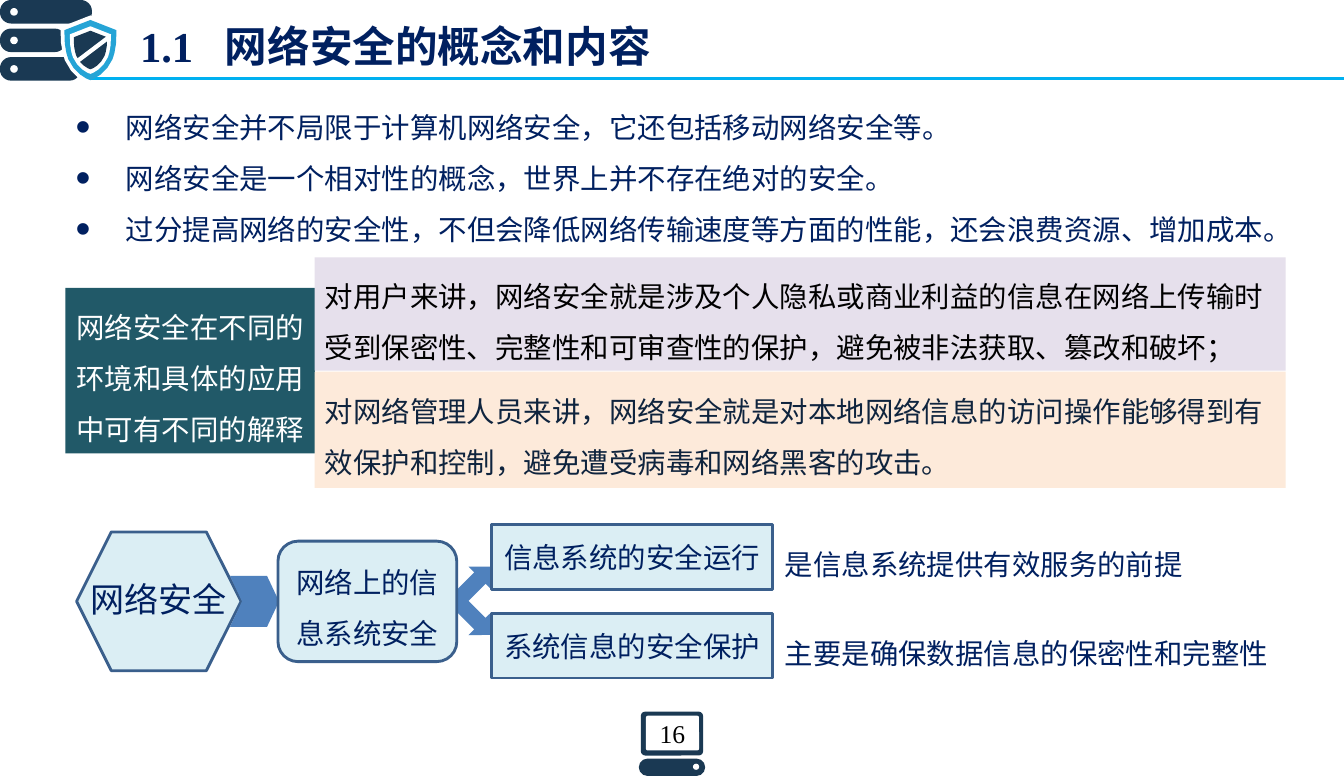
from dataclasses import dataclass

from lxml.etree import SubElement
from pptx import Presentation
from pptx.dml.color import RGBColor
from pptx.enum.shapes import MSO_CONNECTOR, MSO_SHAPE
from pptx.enum.text import MSO_ANCHOR, MSO_AUTO_SIZE, PP_ALIGN
from pptx.oxml.ns import qn
from pptx.util import Inches, Pt


@dataclass(frozen=True)
class Theme:
    font: str = "Times New Roman"
    navy: str = "002060"
    ink: str = "0F243E"
    black: str = "000000"
    white: str = "FFFFFF"
    icon: str = "1A3953"
    shield: str = "25A4D6"
    rule: str = "00B0F0"
    arrow: str = "4F81BD"
    pale: str = "DBEEF4"
    edge: str = "3A5F8C"
    teal: str = "215968"
    lilac: str = "E6E0EC"
    peach: str = "FDEADA"
    head: int = 30
    big: int = 24
    body: int = 20
    small: int = 18


T = Theme()
WIDE, HIGH = Pt(946.75), Pt(546.88)
PAD = (0.1, 0.05, 0.1, 0.05)
SNUG = (0.1, 0, 0.1, 0.05)


# Lengths are percent shares of the slide's width and height
def col(share):
    return round(WIDE * share / 100)


def row(share):
    return round(HIGH * share / 100)


def area(x, y, w, h):
    return col(x), row(y), col(w), row(h)


def place(shape, x, y, w, h):
    shape.left, shape.top, shape.width, shape.height = area(x, y, w, h)


def paint(shape, fill, edge=None):
    shape.shadow.inherit = False
    shape.fill.solid()
    shape.fill.fore_color.rgb = RGBColor.from_string(fill)
    if edge:
        shape.line.color.rgb = RGBColor.from_string(edge)
        shape.line.width = Pt(2)
    else:
        shape.line.fill.background()


def write(shape, lines, size=T.body, color=T.navy, align=PP_ALIGN.LEFT,
          anchor=MSO_ANCHOR.TOP, space=1.0, pad=PAD, wrap=True, bold=False):
    frame = shape.text_frame
    frame.word_wrap, frame.auto_size = wrap, MSO_AUTO_SIZE.NONE
    frame.vertical_anchor = anchor
    (frame.margin_left, frame.margin_top,
     frame.margin_right, frame.margin_bottom) = map(Inches, pad)
    frame.text = "\n".join(lines)
    for para in frame.paragraphs:
        para.alignment, para.line_spacing = align, space
        para.space_before = Pt(0)
        for run in para.runs:
            font = run.font
            font.name, font.size, font.bold = T.font, Pt(size), bold
            font.color.rgb = RGBColor.from_string(color)


def block(slide, kind, spot, fill, edge=None, adjust=None):
    shape = slide.shapes.add_shape(kind, *area(*spot))
    if adjust is not None:
        shape.adjustments[0] = adjust
    paint(shape, fill, edge)
    return shape


def stroke(slide, start, end, color, width):
    line = slide.shapes.add_connector(
        MSO_CONNECTOR.STRAIGHT, col(start[0]), row(start[1]), col(end[0]), row(end[1]))
    line.line.color.rgb = RGBColor.from_string(color)
    line.line.width = Pt(width)
    SubElement(line._element.spPr, qn("a:effectLst"))


def crest(slide, scale, fill):
    side = [(1, -0.66), (0.98, -0.2), (0.92, 0.1), (0.85, 0.3),
            (0.65, 0.59), (0.4, 0.81), (0.15, 0.95)]
    shape = [(0, -1), *side, (0, 1), *[(-x, y) for x, y in reversed(side)]]
    points = [(col(6.73 + 1.94 * scale * x), row(6.45 + 3.88 * scale * y))
              for x, y in shape]
    form = slide.shapes.build_freeform(*points[0])
    form.add_line_segments(points[1:], close=True)
    paint(form.convert_to_shape(), fill)


# Header: server with shield, rule, title
def header(slide):
    for step, width in enumerate((6.84, 4.9, 6)):
        top = step * 3.68
        block(slide, MSO_SHAPE.ROUNDED_RECTANGLE, (0, top, width, 3.03), T.icon, adjust=0.47)
        block(slide, MSO_SHAPE.OVAL, (0.76, top + 1.03, 0.57, 0.99), T.white)
    crest(slide, 1.15, T.white)
    stroke(slide, (6.69, 10.13), (100, 10.13), T.rule, 2.25)
    for scale, fill in ((1, T.shield), (0.79, T.white), (0.64, T.icon)):
        crest(slide, scale, fill)
    stroke(slide, (5.7, 7.95), (8.1, 4.8), T.white, 3)

    title = slide.shapes.title
    place(title, 9.66, 1.97, 59.54, 8.03)
    write(title, ["1.1\t网络安全的概念和内容"], T.head, bold=True)
    tabs = SubElement(title.text_frame.paragraphs[0]._p.get_or_add_pPr(), qn("a:tabLst"))
    SubElement(tabs, qn("a:tab"), pos=str(Inches(0.83)), algn="l")


# Bulleted list
def points(slide):
    body = slide.placeholders[1]
    place(body, 4.87, 11.32, 90.87, 21.32)
    write(body, ["网络安全并不局限于计算机网络安全，它还包括移动网络安全等。",
                 "网络安全是一个相对性的概念，世界上并不存在绝对的安全。",
                 "过分提高网络的安全性，不但会降低网络传输速度等方面的性能，还会浪费资源、增加成本。"],
          space=1.5)
    for para in body.text_frame.paragraphs:
        props = para._p.get_or_add_pPr()
        props.set("marL", str(Inches(0.49)))
        props.set("indent", str(-Inches(0.49)))
        SubElement(props, qn("a:buSzPct"), val="150000")
        SubElement(props, qn("a:buFont"), typeface="Arial")
        SubElement(props, qn("a:buChar"), char="•")


# Panels with the two readings of the term
def panels(slide):
    center = PP_ALIGN.CENTER
    for spot, fill, color, align, text in (
        ((4.87, 37.11, 18.56, 21.32), T.teal, T.white, center,
         "网络安全在不同的环境和具体的应用中可有不同的解释"),
        ((23.42, 33.16, 72.24, 14.61), T.lilac, T.black, PP_ALIGN.LEFT,
         "对用户来讲，网络安全就是涉及个人隐私或商业利益的信息在网络上传输时"
         "受到保密性、完整性和可审查性的保护，避免被非法获取、篡改和破坏；"),
        ((23.42, 47.89, 72.24, 15), T.peach, T.ink, PP_ALIGN.LEFT,
         "对网络管理人员来讲，网络安全就是对本地网络信息的访问操作能够得到有"
         "效保护和控制，避免遭受病毒和网络黑客的攻击。"),
    ):
        panel = block(slide, MSO_SHAPE.RECTANGLE, spot, fill)
        write(panel, [text], color=color, align=align, space=1.5)


# Flow from the term to its two branches
def flow(slide):
    mid = {"align": PP_ALIGN.CENTER, "anchor": MSO_ANCHOR.MIDDLE}
    fork = block(slide, MSO_SHAPE.LEFT_UP_ARROW, (33.31, 73.29, 4.79, 8.29), T.arrow)
    fork.rotation = 135
    root = block(slide, MSO_SHAPE.HEXAGON, (5.7, 68.55, 12.24, 17.89), T.pale, T.edge)
    write(root, ["网络安全"], T.big, pad=SNUG, wrap=False, **mid)
    block(slide, MSO_SHAPE.CHEVRON, (17.11, 74.21, 3.65, 6.58), T.arrow, adjust=0.245)
    hub = block(slide, MSO_SHAPE.FLOWCHART_ALTERNATE_PROCESS,
                (20.68, 69.74, 13.31, 15.53), T.pale, T.edge)
    write(hub, ["网络上的信息系统安全"], space=1.5, pad=SNUG, **mid)
    for step, (name, note) in enumerate((
        ("信息系统的安全运行", "是信息系统提供有效服务的前提"),
        ("系统信息的安全保护", "主要是确保数据信息的保密性和完整性"),
    )):
        top = 67.63 + step * 11.45
        leaf = block(slide, MSO_SHAPE.RECTANGLE, (36.58, top, 20.91, 8.29), T.pale, T.edge)
        write(leaf, [name], **mid)
        label = slide.shapes.add_textbox(*area(57.64, top, 38.1, 8.03))
        write(label, [note], space=1.5)


# Page number on a small computer
def footer(slide):
    rounded = MSO_SHAPE.ROUNDED_RECTANGLE
    block(slide, rounded, (47.68, 91.71, 4.64, 5.66), T.icon, adjust=0.1)
    screen = block(slide, rounded, (48.06, 92.24, 3.95, 4.47), T.white, adjust=0.05)
    write(screen, ["16"], T.small, T.black, PP_ALIGN.CENTER, MSO_ANCHOR.MIDDLE, pad=(0, 0, 0, 0))
    block(slide, rounded, (47.53, 97.76, 4.94, 2.24), T.icon, adjust=0.5)
    block(slide, MSO_SHAPE.OVAL, (51.56, 98.42, 0.46, 0.79), T.white)


def main():
    deck = Presentation()
    deck.slide_width, deck.slide_height = WIDE, HIGH
    slide = deck.slides.add_slide(deck.slide_layouts[1])
    for part in (header, points, flow, panels, footer):
        part(slide)
    deck.save("out.pptx")


if __name__ == "__main__":
    main()
